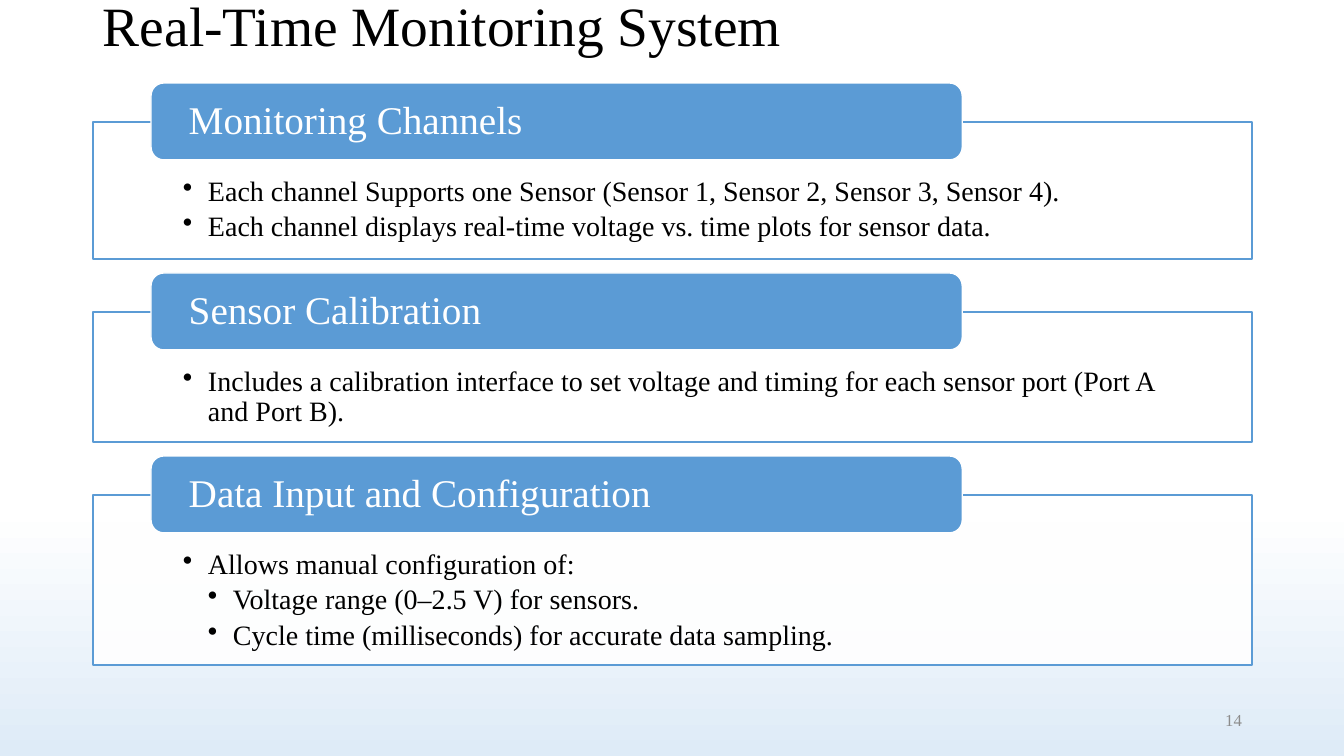
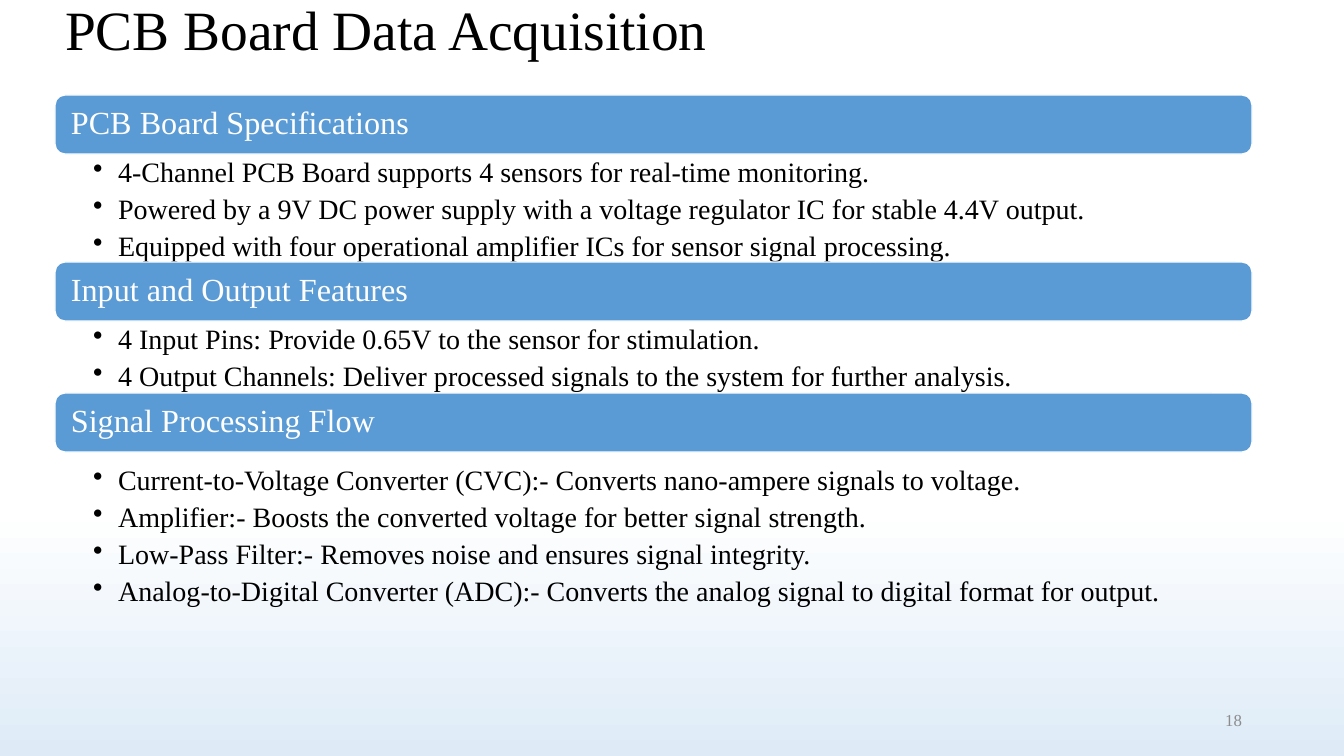
from lxml import etree
from pptx import Presentation
from pptx import util as u
from pptx.dml.color import RGBColor
from pptx.enum import shapes, text
from pptx.oxml.ns import qn

W, H = 1344, 756
SCALE = 12192000 / W
FONT = "Times New Roman"
BLUE, WHITE, BLACK, GREY, SKY = "5B9BD5", "FFFFFF", "000000", "8C8C8C", "DEEBF7"
INDENT = 25


def px(n):
    return u.Emu(round(n * SCALE))


def rgb(hex_string):
    return RGBColor.from_string(hex_string)


def set_frame(sp, insets=(10, 5, 10, 5), anchor=text.MSO_ANCHOR.TOP):
    """Wrap the text and set insets as left, top, right, bottom."""
    tf = sp.text_frame
    tf.word_wrap = True
    tf.auto_size = text.MSO_AUTO_SIZE.NONE
    tf.vertical_anchor = anchor
    tf.margin_left, tf.margin_top, tf.margin_right, tf.margin_bottom = map(px, insets)
    return tf


def add_text(p, words, size, color, align=text.PP_ALIGN.LEFT):
    p.alignment = align
    p.line_spacing = 0.9
    r = p.add_run()
    r.text = words
    r.font.name = FONT
    r.font.size = u.Pt(size)
    r.font.color.rgb = rgb(color)


def add_bullets(tf, items, space_after):
    """Items are (level, words) pairs, with level 1 outermost."""
    for i, (level, words) in enumerate(items):
        p = tf.paragraphs[0] if i == 0 else tf.add_paragraph()
        pPr = p._p.get_or_add_pPr()
        pPr.set("marL", str(px(INDENT * level)))
        pPr.set("indent", str(-px(INDENT)))
        etree.SubElement(pPr, qn("a:buChar")).set("char", "•")
        p.space_after = u.Pt(space_after)
        add_text(p, words, 20, BLACK)


def add_box(s, kind, box, fill, line, alpha=None):
    sp = s.shapes.add_shape(kind, *map(px, box))
    sp.shadow.inherit = False
    sp.fill.solid()
    sp.fill.fore_color.rgb = rgb(fill)
    if alpha is not None:
        clr = sp._element.spPr.find(".//" + qn("a:srgbClr"))
        etree.SubElement(clr, qn("a:alpha")).set("val", str(alpha * 1000))
    sp.line.color.rgb = rgb(line)
    sp.line.width = u.Pt(1)
    return sp


def add_heading(s, box, words, size, inset):
    sp = add_box(s, shapes.MSO_SHAPE.ROUNDED_RECTANGLE, box, BLUE, WHITE)
    tf = set_frame(sp, (inset, 0, inset, 0), text.MSO_ANCHOR.MIDDLE)
    add_text(tf.paragraphs[0], words, size, WHITE)


def add_slide(prs, title, title_box, number):
    """Slide with its title and page number."""
    s = prs.slides.add_slide(prs.slide_layouts[5])
    sp = s.shapes.title
    sp.left, sp.top, sp.width, sp.height = map(px, title_box)
    tf = set_frame(sp, anchor=text.MSO_ANCHOR.MIDDLE)
    add_text(tf.paragraphs[0], title, 39.6, BLACK)
    page = s.shapes.add_textbox(*map(px, (950, 701, 302, 40)))
    tf = set_frame(page, anchor=text.MSO_ANCHOR.MIDDLE)
    add_text(tf.paragraphs[0], number, 12, GREY, text.PP_ALIGN.RIGHT)
    return s


def add_panel(s, box, heading, items):
    """Outlined list panel with a heading tab across its top edge."""
    x, y, w, h = box
    sp = add_box(s, shapes.MSO_SHAPE.RECTANGLE, box, WHITE, BLUE, alpha=90)
    add_bullets(set_frame(sp, (90, 55, 90, 16)), items, 4)
    add_heading(s, (x + 58, y - 39, w * 0.7, 77), heading, 28, 34)


def add_section(s, box, heading, items, gap):
    """Full-width heading bar with a list below it."""
    x, y, w, h = box
    add_heading(s, (x, y, w, 59), heading, 23, 13)
    top = 60 + gap
    sp = s.shapes.add_textbox(*map(px, (x, y + top, w, h - top)))
    add_bullets(set_frame(sp, (38, 3, 16, 3)), items, 5)


def build_monitoring(prs):
    s = add_slide(prs, "Real-Time Monitoring System", (93, 0, 1159, 58), "14")
    panels = [
        (137, "Monitoring Channels", [
            (1, "Each channel Supports one Sensor (Sensor 1, Sensor 2, Sensor 3, Sensor 4)."),
            (1, "Each channel displays real-time voltage vs. time plots for sensor data.")]),
        (130, "Sensor Calibration", [
            (1, "Includes a calibration interface to set voltage and timing "
                "for each sensor port (Port A and Port B).")]),
        (170, "Data Input and Configuration", [
            (1, "Allows manual configuration of:"),
            (2, "Voltage range (0–2.5 V) for sensors."),
            (2, "Cycle time (milliseconds) for accurate data sampling.")]),
    ]
    y = 122
    for h, heading, items in panels:
        add_panel(s, (93, y, 1159, h), heading, items)
        y += h + 53


def build_acquisition(prs):
    s = add_slide(prs, "PCB Board Data Acquisition", (55, 0, 1159, 65), "18")
    sections = [
        (167, 0, "PCB Board Specifications", [
            (1, "4-Channel PCB Board supports 4 sensors for real-time monitoring."),
            (1, "Powered by a 9V DC power supply with a voltage regulator IC "
                "for stable 4.4V output."),
            (1, "Equipped with four operational amplifier ICs for sensor signal processing.")]),
        (131, 0, "Input and Output Features", [
            (1, "4 Input Pins: Provide 0.65V to the sensor for stimulation."),
            (1, "4 Output Channels: Deliver processed signals to the system "
                "for further analysis.")]),
        (211, 10, "Signal Processing Flow", [
            (1, "Current-to-Voltage Converter (CVC):- Converts nano-ampere signals to voltage."),
            (1, "Amplifier:- Boosts the converted voltage for better signal strength."),
            (1, "Low-Pass Filter:- Removes noise and ensures signal integrity."),
            (1, "Analog-to-Digital Converter (ADC):- Converts the analog signal "
                "to digital format for output.")]),
    ]
    y = 95
    for h, gap, heading, items in sections:
        add_section(s, (55, y, 1197, h), heading, items, gap)
        y += h


def main():
    prs = Presentation()
    prs.slide_width, prs.slide_height = px(W), px(H)

    # Shared background: white fading to pale blue at the foot
    fill = prs.slide_master.background.fill
    fill.gradient()
    fill.gradient_angle = 270
    for stop, (position, color) in zip(fill.gradient_stops, [(0.67, WHITE), (1, SKY)]):
        stop.position = position
        stop.color.rgb = rgb(color)

    build_monitoring(prs)
    build_acquisition(prs)
    prs.save("out.pptx")


if __name__ == "__main__":
    main()
